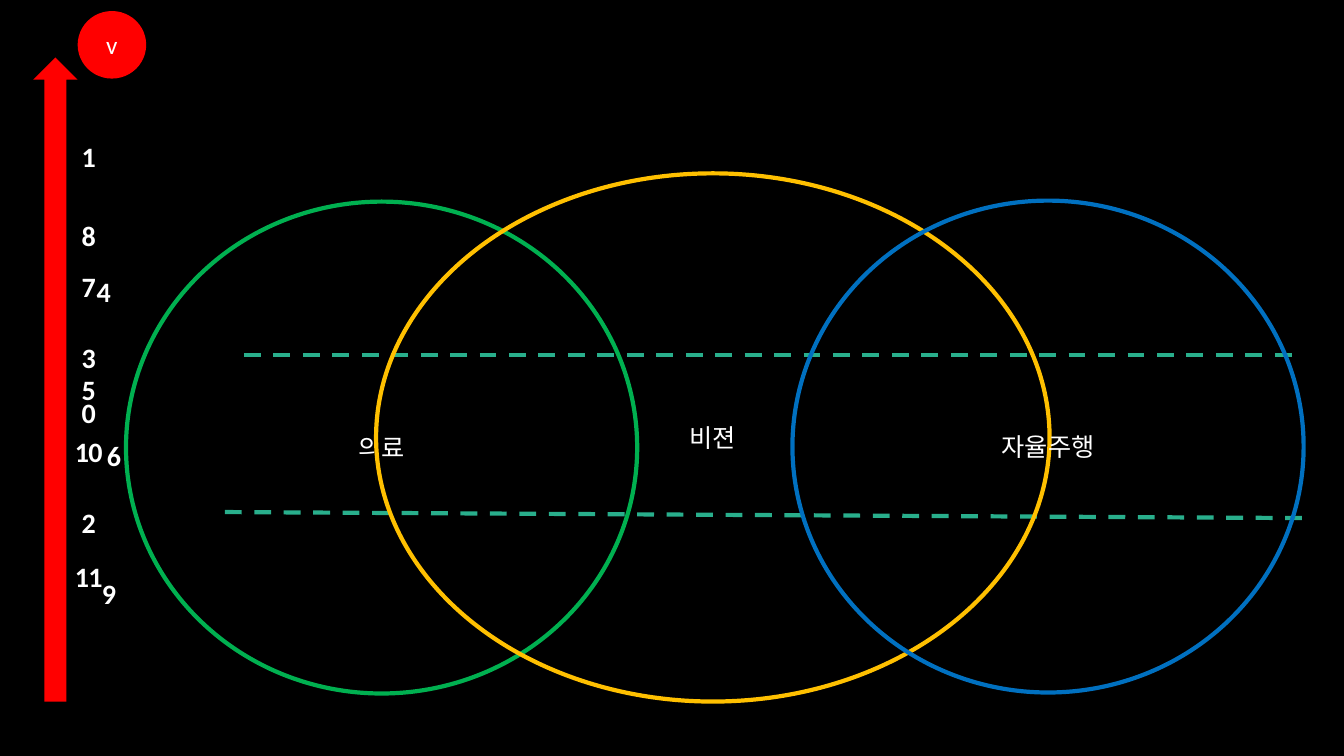
from pptx import Presentation
from pptx.dml.color import RGBColor
from pptx.enum.dml import MSO_LINE
from pptx.enum.shapes import MSO_CONNECTOR, MSO_SHAPE
from pptx.enum.text import MSO_ANCHOR, PP_ALIGN
from pptx.oxml.ns import qn
from pptx.util import Inches, Pt
from lxml import etree

MARK_W, MARK_H = 0.68, 0.67
MARK_X = 0.54
DIVIDERS = [(2.23, 5.08, 12.93, 5.14), (2.42, 3.52, 12.93, 3.52)]
FIELDS = [
    ("의료", 1.25, 2, 5.07, 4.88, "00B050"),
    ("비젼", 3.73, 1.72, 6.68, 5.24, "FFC000"),
    ("자율주행", 7.86, 1.99, 5.07, 4.88, "0070C0"),
]
# Label, left, top, letter spacing in hundredths of a point
MARKS = [
    ("7", MARK_X, 2.51, 0),
    ("10", MARK_X, 4.14, -50),
    ("5", MARK_X, 3.53, 0),
    ("4", 0.69, 2.56, 0),
    ("3", MARK_X, 3.21, 0),
    ("2", MARK_X, 4.85, 0),
    ("1", MARK_X, 1.22, 0),
    ("8", MARK_X, 2, 0),
    ("0", MARK_X, 3.76, 0),
    ("9", 0.74, 5.55, -50),
    ("6", 0.79, 4.18, 0),
    ("11", MARK_X, 5.38, -50),
]


def rgb(color):
    return RGBColor.from_string(color)


def add_figure(s, kind, x, y, w, h, fill=None, line=None):
    sp = s.shapes.add_shape(kind, Inches(x), Inches(y), Inches(w), Inches(h))
    sp.shadow.inherit = False
    if fill:
        sp.fill.solid()
        sp.fill.fore_color.rgb = rgb(fill)
    else:
        sp.fill.background()
    if line:
        sp.line.color.rgb = rgb(line)
        sp.line.width = Pt(3)
    else:
        sp.line.fill.background()
    return sp


def add_label(sp, text, size=18, bold=False, spacing=0):
    tf = sp.text_frame
    tf.word_wrap = False
    tf.vertical_anchor = MSO_ANCHOR.MIDDLE
    p = tf.paragraphs[0]
    p.alignment = PP_ALIGN.CENTER
    p.font.name = "Calibri"
    p.font.size = Pt(size)
    p.font.bold = bold
    p.font.color.rgb = rgb("FFFFFF")
    r = p.add_run()
    r.text = text
    if spacing:
        r.font._element.set("spc", str(spacing))


def add_divider(s, x1, y1, x2, y2):
    line = s.shapes.add_connector(
        MSO_CONNECTOR.STRAIGHT, Inches(x1), Inches(y1), Inches(x2), Inches(y2))
    line.line.color.rgb = rgb("29AF8C")
    line.line.width = Pt(3)
    line.line.dash_style = MSO_LINE.DASH
    etree.SubElement(line._element.spPr, qn("a:effectLst"))


def main():
    prs = Presentation()
    prs.slide_width, prs.slide_height = Inches(13.33), Inches(7.5)
    s = prs.slides.add_slide(prs.slide_layouts[6])
    s.background.fill.solid()
    s.background.fill.fore_color.rgb = rgb("000000")

    for ends in DIVIDERS:
        add_divider(s, *ends)
    for name, x, y, w, h, color in FIELDS:
        add_label(add_figure(s, MSO_SHAPE.OVAL, x, y, w, h, line=color), name)

    add_figure(s, MSO_SHAPE.UP_ARROW, 0.33, 0.57, 0.44, 6.39, fill="FF0000")
    axis_name = add_figure(s, MSO_SHAPE.OVAL, 0.77, 0.11, MARK_W, MARK_H, fill="FF0000")
    add_label(axis_name, "v")
    for number, x, y, spacing in MARKS:
        mark = add_figure(s, MSO_SHAPE.OVAL, x, y, MARK_W, MARK_H)
        add_label(mark, number, 20, True, spacing)

    prs.save("out.pptx")


if __name__ == "__main__":
    main()
